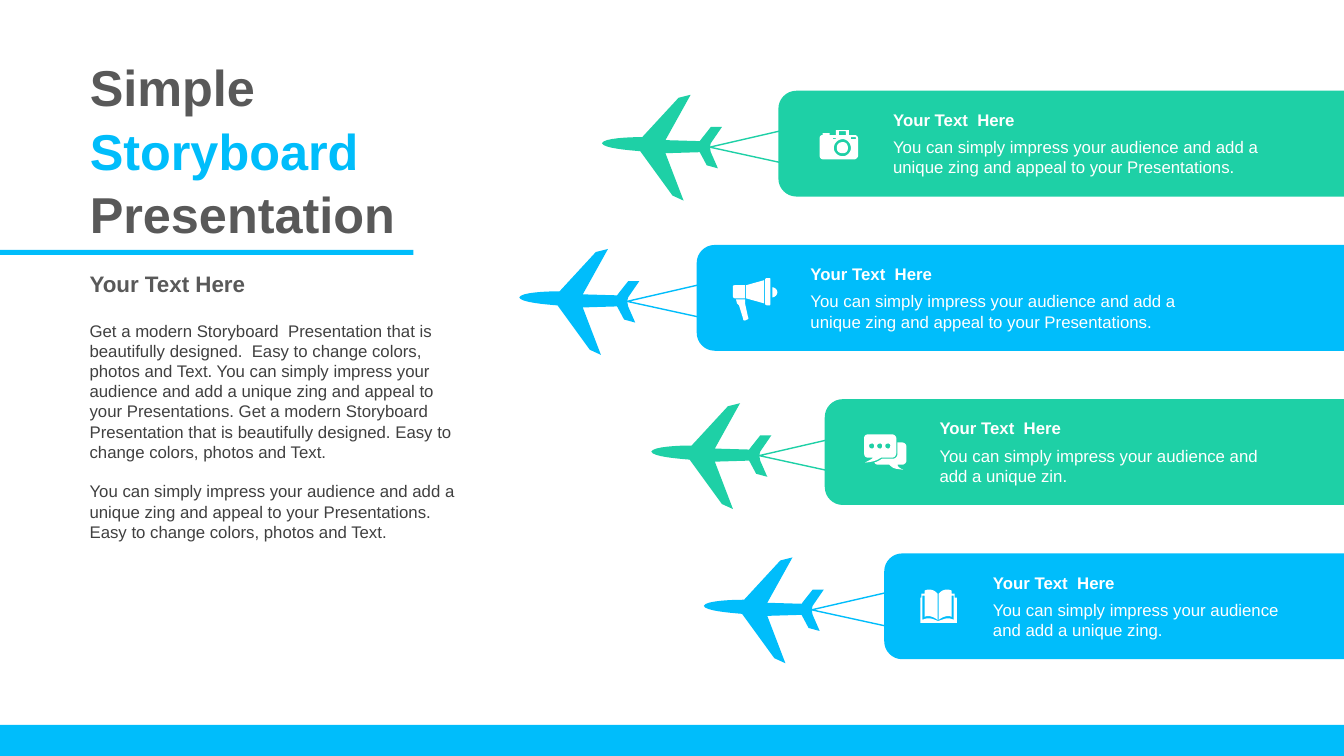
"""Build the airplane infographic slide with four banner cards."""
from pptx import Presentation
from pptx.dml.color import RGBColor
from pptx.enum.shapes import MSO_SHAPE
from pptx.enum.text import MSO_ANCHOR, MSO_AUTO_SIZE, PP_ALIGN
from pptx.util import Inches, Pt

GREEN = RGBColor(0x1E, 0xD0, 0xA6)
BLUE = RGBColor(0x00, 0xBD, 0xFB)
WHITE = RGBColor(0xFF, 0xFF, 0xFF)
GRAY = RGBColor(0x59, 0x59, 0x59)
DARK = RGBColor(0x40, 0x40, 0x40)
SLIDE_W, SLIDE_H = 13.33, 7.5
CARD_TOP, CARD_PITCH, CARD_H = 0.9, 1.53, 1.05

PLANE = (
    "M 7.16 1.26 L 7.05 1.42 C 7.04 1.46 7.04 1.46 7.05 1.51 L 7.12 1.67 7.01 1.64 "
    "6.94 1.51 6.6 1.52 6.78 1.99 6.67 1.94 6.35 1.5 C 6.23 1.49 5.98 1.47 5.97 1.42 "
    "5.99 1.37 6.24 1.36 6.37 1.36 L 6.73 0.97 6.85 0.94 6.6 1.39 6.94 1.4 "
    "C 6.97 1.36 7.05 1.26 7.05 1.26 Z")
TRAIL = "M 7.82 1.28 L 7.04 1.46 7.82 1.63"
CAMERA = (
    "M 8.36 1.41 C 8.39 1.41 8.41 1.43 8.41 1.47 8.41 1.5 8.39 1.52 8.36 1.52 "
    "8.32 1.52 8.3 1.5 8.3 1.47 8.3 1.43 8.32 1.41 8.36 1.41 Z "
    "M 8.36 1.38 C 8.31 1.38 8.27 1.42 8.27 1.47 8.27 1.51 8.31 1.55 8.36 1.55 "
    "8.4 1.55 8.44 1.51 8.44 1.47 8.44 1.42 8.4 1.38 8.36 1.38 Z "
    "M 8.26 1.37 L 8.26 1.38 8.29 1.38 8.29 1.37 Z "
    "M 8.44 1.36 L 8.44 1.38 8.49 1.38 8.49 1.36 Z "
    "M 8.32 1.3 L 8.32 1.34 8.39 1.34 8.39 1.3 Z "
    "M 8.3 1.29 L 8.41 1.29 C 8.42 1.29 8.42 1.29 8.42 1.3 L 8.42 1.34 8.48 1.34 "
    "C 8.49 1.34 8.51 1.35 8.51 1.37 L 8.51 1.55 C 8.51 1.56 8.49 1.58 8.48 1.58 "
    "L 8.16 1.58 C 8.14 1.58 8.13 1.56 8.13 1.55 L 8.13 1.37 "
    "C 8.13 1.35 8.14 1.34 8.16 1.34 L 8.16 1.32 8.23 1.32 8.23 1.34 8.29 1.34 8.29 1.3 "
    "C 8.29 1.29 8.29 1.29 8.3 1.29 Z")
MEGAPHONE = (
    "M 7.39 2.97 L 7.39 2.99 C 7.39 3 7.39 3 7.39 3.01 L 7.42 3.15 "
    "C 7.43 3.16 7.42 3.17 7.41 3.17 L 7.39 3.18 C 7.38 3.18 7.37 3.18 7.37 3.16 "
    "L 7.33 3.03 C 7.32 3.02 7.32 3.02 7.31 3.01 L 7.3 2.97 Z "
    "M 7.66 2.85 C 7.68 2.85 7.71 2.87 7.71 2.9 7.71 2.92 7.69 2.95 7.66 2.95 Z "
    "M 7.29 2.83 L 7.39 2.83 7.39 2.96 7.29 2.96 C 7.28 2.96 7.27 2.95 7.27 2.94 "
    "L 7.27 2.84 C 7.27 2.83 7.28 2.83 7.29 2.83 Z "
    "M 7.58 2.78 L 7.58 3.01 7.4 2.96 7.4 2.83 Z "
    "M 7.61 2.76 L 7.63 2.76 C 7.64 2.76 7.64 2.76 7.64 2.77 L 7.64 3.02 "
    "C 7.64 3.02 7.64 3.03 7.63 3.03 L 7.61 3.03 C 7.6 3.03 7.59 3.02 7.59 3.02 "
    "L 7.59 2.77 C 7.59 2.76 7.6 2.76 7.61 2.76 Z")
CHAT_DOTS = "".join(
    f"M {x} 4.4 C {x - 0.02} 4.4 {x - 0.03} 4.41 {x - 0.03} 4.42 "
    f"{x - 0.03} 4.44 {x - 0.02} 4.45 {x} 4.45 {x + 0.01} 4.45 {x + 0.02} 4.44 "
    f"{x + 0.02} 4.42 {x + 0.02} 4.41 {x + 0.01} 4.4 {x} 4.4 Z "
    for x in (8.81, 8.73, 8.65))
CHAT = CHAT_DOTS + (
    "M 8.9 4.39 L 8.95 4.39 C 8.97 4.39 8.99 4.41 8.99 4.43 L 8.99 4.57 "
    "C 8.99 4.59 8.97 4.61 8.95 4.61 L 8.9 4.61 C 8.91 4.63 8.91 4.64 8.96 4.66 "
    "8.87 4.65 8.86 4.65 8.82 4.61 L 8.71 4.61 C 8.69 4.61 8.68 4.6 8.67 4.59 "
    "8.7 4.58 8.72 4.57 8.75 4.55 L 8.86 4.55 C 8.88 4.55 8.9 4.53 8.9 4.51 Z "
    "M 8.61 4.31 L 8.85 4.31 C 8.87 4.31 8.89 4.33 8.89 4.35 L 8.89 4.49 "
    "C 8.89 4.52 8.87 4.54 8.85 4.54 L 8.74 4.54 C 8.69 4.57 8.67 4.58 8.58 4.59 "
    "8.63 4.56 8.64 4.56 8.66 4.54 L 8.61 4.54 C 8.58 4.54 8.57 4.52 8.57 4.49 "
    "L 8.57 4.35 C 8.57 4.33 8.58 4.31 8.61 4.31 Z")
BOOK = (
    "M 9.3 6.16 L 9.31 6.16 C 9.37 6.14 9.4 6.12 9.46 6.15 L 9.46 5.91 9.44 5.91 9.44 6.12 "
    "C 9.4 6.1 9.35 6.12 9.31 6.15 L 9.31 5.89 C 9.34 5.86 9.36 5.85 9.39 5.85 "
    "9.41 5.85 9.42 5.85 9.44 5.86 L 9.44 5.89 9.47 5.89 9.47 5.93 9.49 5.93 9.49 6.18 "
    "9.13 6.18 9.13 5.93 9.14 5.93 9.14 5.89 9.17 5.89 9.17 5.86 "
    "C 9.19 5.85 9.2 5.85 9.22 5.85 9.25 5.85 9.27 5.86 9.3 5.89 L 9.3 6.15 "
    "C 9.26 6.12 9.21 6.1 9.17 6.12 L 9.17 5.91 9.15 5.91 9.15 6.15 "
    "C 9.21 6.12 9.25 6.14 9.3 6.16 Z")

HEADING = "Your Text  Here"
IMPRESS = "You can simply impress your audience and add a unique zing"
CARDS = [
    (7.72, 0, 8.76, 3.97, GREEN, CAMERA, IMPRESS + " and appeal to your Presentations."),
    (6.91, -0.82, 7.94, 3.99, BLUE, MEGAPHONE, IMPRESS + " and appeal to your Presentations."),
    (8.18, 0.49, 9.22, 3.6, GREEN, CHAT, "You can simply impress your audience and add a unique zin."),
    (8.77, 1.01, 9.75, 3.31, BLUE, BOOK, IMPRESS + "."),
]


def add_outline(path, color, dx=0, dy=0):
    """Draw a path of M, L, C and Z commands, in inches, as a filled freeform."""
    fb = None
    for contour in path.split("M")[1:]:
        for cmd in "LCZ":
            contour = contour.replace(cmd, "|" + cmd)
        start, *parts = contour.split("|")
        x, y = map(float, start.split())
        pts = []
        corner = Inches(x + dx), Inches(y + dy)
        if fb is None:
            fb = s.shapes.build_freeform(*corner)
        else:
            fb.move_to(*corner)
        for part in parts:
            n = [float(v) for v in part[1:].split()]
            if part[0] == "L":
                pts += zip(n[::2], n[1::2])
            for i in range(0, len(n) if part[0] == "C" else 0, 6):
                x0, y0 = pts[-1] if pts else (x, y)
                x1, y1, x2, y2, x3, y3 = n[i:i + 6]
                for t in (k / 8 for k in range(1, 9)):
                    a, b, c, d = (1 - t) ** 3, 3 * t * (1 - t) ** 2, 3 * t * t * (1 - t), t ** 3
                    pts.append((a * x0 + b * x1 + c * x2 + d * x3,
                                a * y0 + b * y1 + c * y2 + d * y3))
        fb.add_line_segments([(Inches(px + dx), Inches(py + dy)) for px, py in pts],
                             close="Z" in contour)
    sp = fb.convert_to_shape()
    sp.shadow.inherit = False
    sp.fill.solid()
    sp.fill.fore_color.rgb = color
    sp.line.fill.background()
    return sp


def add_text(x, y, w, h, paragraphs, size, color, bold=False):
    """Add a wrapped text box with one paragraph for each string."""
    tf = s.shapes.add_textbox(Inches(x), Inches(y), Inches(w), Inches(h)).text_frame
    tf.word_wrap = True
    for i, text in enumerate(paragraphs):
        p = tf.add_paragraph() if i else tf.paragraphs[0]
        p.text = text
        p.font.name, p.font.size, p.font.bold = "Arial", Pt(size), bold
        p.font.color.rgb = color
        if i:
            p.space_before = Pt(14)


prs = Presentation()
prs.slide_width, prs.slide_height = Inches(SLIDE_W), Inches(SLIDE_H)
s = prs.slides.add_slide(prs.slide_layouts[5])

for top, width, height in ((7.19, SLIDE_W, 0.31), (2.48, 4.1, 0.05)):
    bar = s.shapes.add_shape(MSO_SHAPE.RECTANGLE, 0, Inches(top), Inches(width), Inches(height))
    bar.shadow.inherit = False
    bar.fill.solid()
    bar.fill.fore_color.rgb = BLUE
    bar.line.fill.background()

title = s.shapes.title
title.left, title.top, title.width, title.height = Inches(0.79), Inches(0.48), Inches(3.92), Inches(1.92)
tf = title.text_frame
tf.word_wrap, tf.auto_size, tf.vertical_anchor = True, MSO_AUTO_SIZE.NONE, MSO_ANCHOR.TOP
p = tf.paragraphs[0]
p.alignment, p.line_spacing = PP_ALIGN.LEFT, 1.05
p.font.name, p.font.size, p.font.bold = "Arial", Pt(36), True
for text, color in (("Simple ", GRAY), ("Storyboard ", BLUE), ("Presentation", GRAY)):
    r = p.add_run()
    r.text = text
    r.font.color.rgb = color

add_text(0.79, 2.63, 3.85, 0.37, ["Your Text Here"], 16, GRAY, True)
add_text(0.79, 3.13, 3.85, 2.32, [
    "Get a modern Storyboard  Presentation that is beautifully designed.  Easy to change colors, "
    "photos and Text. You can simply impress your audience and add a unique zing and appeal to your "
    "Presentations. Get a modern Storyboard  Presentation that is beautifully designed. Easy to "
    "change colors, photos and Text.",
    IMPRESS + " and appeal to your Presentations. Easy to change colors, photos and Text.",
], 12, DARK)

for i, (left, dx, text_x, text_w, color, icon, text) in enumerate(CARDS):
    dy = i * CARD_PITCH
    top = CARD_TOP + dy
    bottom = top + CARD_H
    add_outline(
        f"M {left + 0.18} {top} L {SLIDE_W} {top} {SLIDE_W} {bottom} {left + 0.18} {bottom} "
        f"C {left + 0.08} {bottom} {left} {bottom - 0.08} {left} {bottom - 0.18} L {left} {top + 0.18} "
        f"C {left} {top + 0.08} {left + 0.08} {top} {left + 0.18} {top} Z", color)
    add_text(text_x, top + 0.14, text_w, 0.3, [HEADING], 12, WHITE, True)
    add_text(text_x, top + 0.41, text_w, 0.5, [text], 12, WHITE)
    add_outline(icon, WHITE)
    add_outline(PLANE, color, dx, dy)
    trail = add_outline(TRAIL, color, dx, dy)
    trail.fill.background()
    trail.line.color.rgb = color
    trail.line.width = Pt(1)

prs.save("out.pptx")
